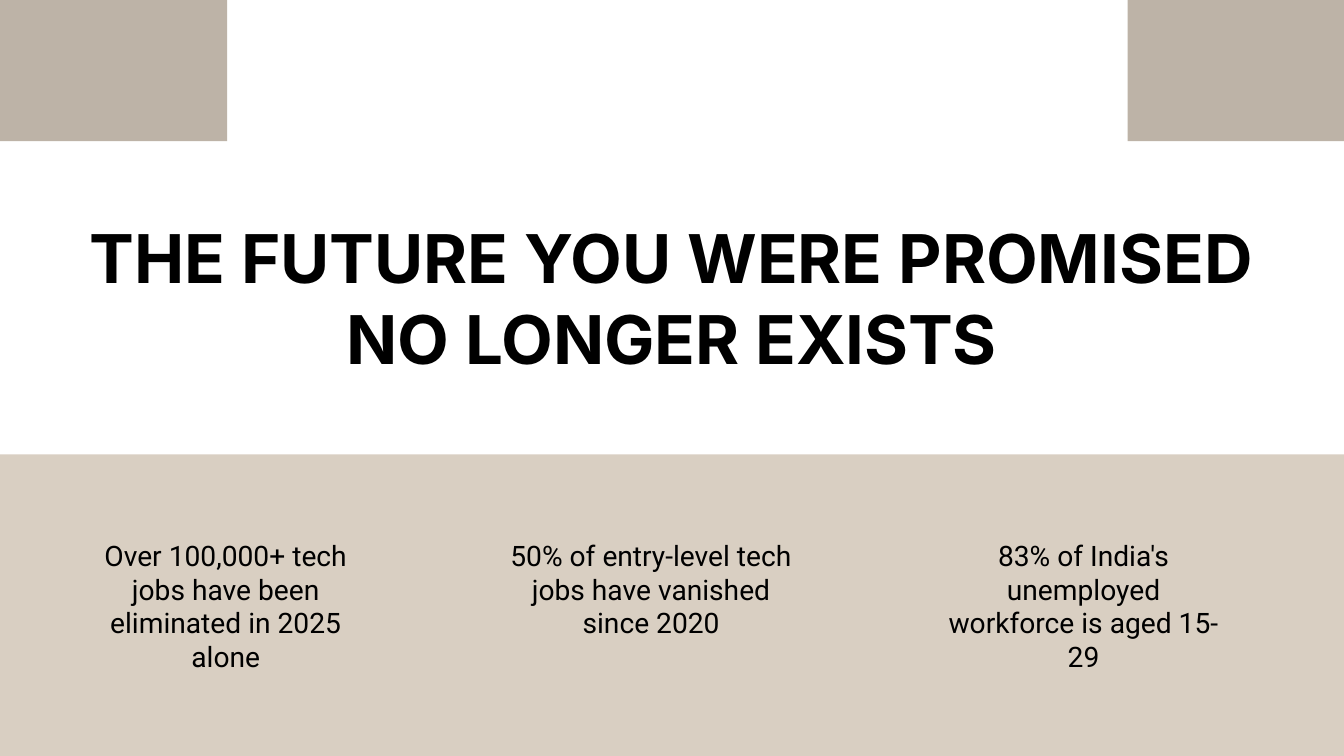
from pptx import Presentation
from pptx.dml.color import RGBColor as Rgb
from pptx.enum.shapes import MSO_SHAPE as Shape
from pptx.enum.text import PP_ALIGN as Align
from pptx.util import Inches, Pt

SLIDE_WIDTH, SLIDE_HEIGHT = 20, 11.25
COLOURS = {"corner": "BDB3A7", "band": "D9CFC2", "text": "000000"}

MARGIN = 5.6
BAND_TOP = 60.09
FACTS_TOP = 71.2
FACT_LINE_HEIGHT = 4.44
CORNER_TOP, CORNER_WIDTH, CORNER_HEIGHT = -11.38, 16.9, 30.04

# Text, left and width in percent of the slide, number of lines
FACTS = [
    ("Over 100,000+ tech jobs have been eliminated in 2025 alone", MARGIN, 22.4, 4),
    ("50% of entry-level tech jobs have vanished since 2020", 37.25, 22.4, 3),
    ("83% of India's unemployed workforce is aged 15-29", 70.1, 21.05, 4),
]


def place(left, top, width, height):
    """Turn percentages of the slide's size into lengths."""
    return (
        Inches(SLIDE_WIDTH * left / 100),
        Inches(SLIDE_HEIGHT * top / 100),
        Inches(SLIDE_WIDTH * width / 100),
        Inches(SLIDE_HEIGHT * height / 100),
    )


def add_block(slide, area, colour):
    block = slide.shapes.add_shape(Shape.RECTANGLE, *place(*area))
    block.shadow.inherit = False
    block.fill.solid()
    block.fill.fore_color.rgb = Rgb.from_string(COLOURS[colour])
    block.line.fill.background()


def add_centred_text(slide, text, area, font_name, size, line_spacing, bold=False):
    frame = slide.shapes.add_textbox(*place(*area)).text_frame
    frame.word_wrap = True
    frame.margin_left = frame.margin_right = 0
    frame.margin_top = frame.margin_bottom = 0
    para = frame.paragraphs[0]
    para.text = text
    para.alignment = Align.CENTER
    para.line_spacing = Pt(line_spacing)
    para.font.name = font_name
    para.font.size = Pt(size)
    para.font.bold = bold
    para.font.color.rgb = Rgb.from_string(COLOURS["text"])


def main():
    deck = Presentation()
    deck.slide_width = Inches(SLIDE_WIDTH)
    deck.slide_height = Inches(SLIDE_HEIGHT)
    slide = deck.slides.add_slide(deck.slide_layouts[6])

    for left in (0, 83.9):
        add_block(slide, (left, CORNER_TOP, CORNER_WIDTH, CORNER_HEIGHT), "corner")
    add_centred_text(slide, "THE FUTURE YOU WERE PROMISED NO LONGER EXISTS",
                     (MARGIN, 28.62, 88.75, 21.42), "Inter", 72, 86.4, bold=True)

    add_block(slide, (0, BAND_TOP, 100, 100 - BAND_TOP), "band")
    for text, left, width, lines in FACTS:
        area = (left, FACTS_TOP, width, lines * FACT_LINE_HEIGHT)
        add_centred_text(slide, text, area, "Roboto", 30.2, 36.2)

    deck.save("out.pptx")


if __name__ == "__main__":
    main()
